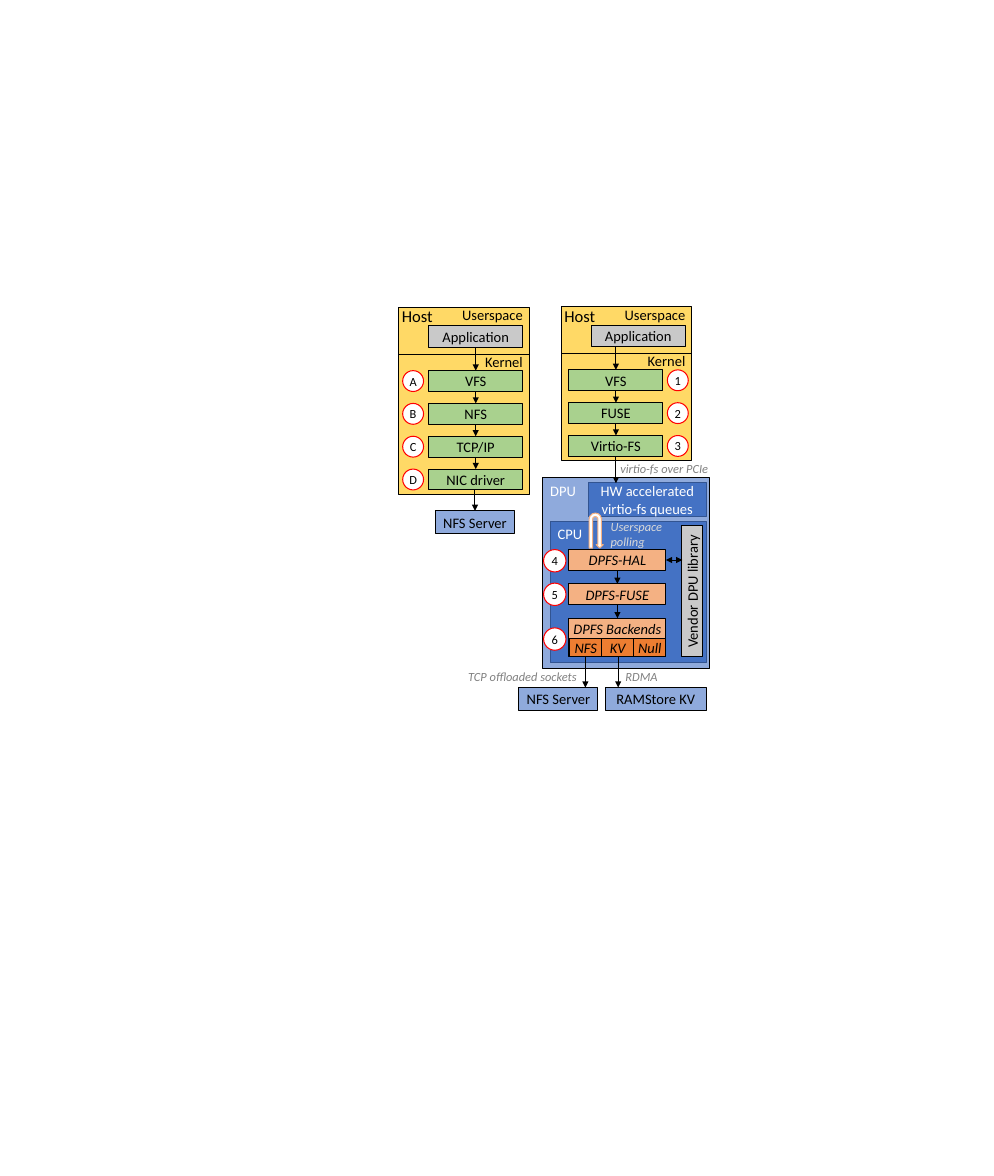
from dataclasses import dataclass

from lxml.etree import SubElement
from pptx import Presentation
from pptx.dml.color import RGBColor
from pptx.enum.shapes import MSO_CONNECTOR as Connector, MSO_SHAPE as Shape
from pptx.enum.text import MSO_ANCHOR as Anchor, PP_ALIGN as Align
from pptx.oxml.ns import qn
from pptx.util import Inches, Pt

UNIT = 0.1
BLACK, WHITE, RED, GREY = "000000", "FFFFFF", "FF0000", "808080"
YELLOW, SILVER, GREEN = "FFD966", "C9C9C9", "A9D18E"
PALE_BLUE, BLUE, NAVY = "8FAADC", "4472C4", "325491"
PEACH, ORANGE, PALE_GREY = "F4B183", "ED7D31", "D9D9D9"


@dataclass
class Box:
    """An area counted in columns and rows of the slide grid."""
    col: float
    row: float
    cols: float
    rows: float

    def area(self, col, row, cols, rows):
        """Return an area placed relative to this one."""
        return Box(self.col + col, self.row + row, cols, rows)

    def lengths(self):
        """Return left, top, width and height for a shape."""
        return [grid(n) for n in (self.col, self.row, self.cols, self.rows)]

    def middle(self):
        """Return the column halfway across."""
        return self.col + self.cols / 2

    def bottom(self):
        """Return the row of the lower edge."""
        return self.row + self.rows


def grid(count):
    """Turn a count of grid cells into a length."""
    return Inches(round(count * UNIT, 2))


def colour(code):
    """Turn a hex string into a colour."""
    return RGBColor.from_string(code)


def write(shape, text, size, ink, italic=False, align=Align.CENTER,
          anchor=Anchor.MIDDLE, inset=(0, 0)):
    """Fill a shape with lines of evenly formatted text."""
    frame = shape.text_frame
    frame.word_wrap = True
    frame.vertical_anchor = anchor
    frame.margin_left = frame.margin_right = grid(inset[0])
    frame.margin_top = frame.margin_bottom = grid(inset[1])
    frame.text = text
    for para in frame.paragraphs:
        para.alignment = align
        para.font.name, para.font.size = "Calibri", Pt(size)
        para.font.italic = italic
        para.font.color.rgb = colour(ink)


def block(page, box, fill, text="", line=BLACK, kind=Shape.RECTANGLE,
          size=14, ink=BLACK, width=1, **style):
    """Draw a filled, outlined shape with optional text."""
    shape = page.shapes.add_shape(kind, *box.lengths())
    shape.shadow.inherit = False
    shape.fill.solid()
    shape.fill.fore_color.rgb = colour(fill)
    shape.line.color.rgb = colour(line)
    shape.line.width = Pt(width)
    if text:
        write(shape, text, size, ink, **style)
    return shape


def badge(page, box, text):
    """Draw a red ring with a step mark."""
    block(page, box, WHITE, text, RED, Shape.OVAL, size=12)


def label(page, box, text, size=12, ink=GREY, italic=True, align=Align.LEFT):
    """Place free-standing text."""
    write(page.shapes.add_textbox(*box.lengths()), text, size, ink, italic,
          align, Anchor.TOP, (1, 0.5))


def link(page, start, end, ends=("tailEnd",)):
    """Draw a line with arrowheads at the named ends."""
    line = page.shapes.add_connector(
        Connector.STRAIGHT, *[grid(n) for n in (*start, *end)])
    line.line.color.rgb = colour(BLACK)
    line.line.width = Pt(1)
    properties = line._element.spPr
    for name in ends:
        SubElement(properties.find(qn("a:ln")), qn("a:" + name), type="triangle")
    SubElement(properties, qn("a:effectLst"))


def drop(page, col, start, end):
    """Draw a downward arrow between two rows."""
    link(page, (col, start), (col, end))


def draw_host(page, box, layers, marks, layer_col, badge_col):
    """Draw a host: application above, kernel layers below."""
    block(page, box, YELLOW)
    app = box.area(4, 2.5, 12.6, 2.9)
    block(page, app, SILVER, "Application")
    link(page, (box.col, box.row + 6.3), (box.col + box.cols, box.row + 6.3), ())
    label(page, box.area(-0.6, -0.6, 6.2, 3.7), "Host", 16, BLACK, False)
    for row, text in ((-0.6, "Userspace"), (5.6, "Kernel")):
        label(page, box.area(4.6, row, 13, 3.4), text, 14, BLACK, False, Align.RIGHT)
    above = app.bottom()
    for index, (layer, mark) in enumerate(zip(layers, marks)):
        row = 8.5 + 4.4 * index
        bar = box.area(layer_col, row, 12.6, 2.8)
        block(page, bar, GREEN, layer)
        badge(page, box.area(badge_col, row, 2.8, 2.8), mark)
        drop(page, bar.middle(), above, bar.row)
        above = bar.bottom()


def draw_dpu(page, box):
    """Draw the DPU with its queues, CPU stages and library."""
    corner = dict(ink=WHITE, align=Align.LEFT, anchor=Anchor.TOP, inset=(1, 0.5))
    block(page, box, PALE_BLUE, "DPU", **corner)
    block(page, box.area(6.1, 0.6, 15.8, 4.6), BLUE,
          "HW accelerated\nvirtio-fs queues", NAVY, ink=WHITE)
    block(page, box.area(1, 5.8, 20.9, 19), BLUE, "CPU", NAVY, **corner)
    label(page, box.area(8.1, 5, 9, 5), "Userspace\npolling", ink=PALE_GREY)
    turn = block(page, box.area(6.2, 4.7, 1.9, 4.7), WHITE, line=PEACH,
                 kind=Shape.U_TURN_ARROW)
    for index, share in enumerate((0.25, 0.25, 0.25, 0.44, 1)):
        turn.adjustments[index] = share
    library = block(page, box.area(11.2, 13.8, 17.6, 2.8), SILVER, "Vendor DPU library")
    library.rotation = 270
    draw_stages(page, box.area(3.5, 9.6, 13, 14.3))
    for row, mark in zip((9.6, 14.1, 20.1), "456"):
        badge(page, box.area(0.1, row, 3, 3), mark)
    link(page, (box.col + 16.5, box.row + 11), (box.col + 18.7, box.row + 11),
         ("headEnd", "tailEnd"))


def draw_stages(page, box):
    """Draw the DPFS stages and the row of backends."""
    step, height = 4.6, 2.8
    for index, text in enumerate(("DPFS-HAL", "DPFS-FUSE")):
        stage = box.area(0, step * index, box.cols, height)
        block(page, stage, PEACH, text, italic=True)
        drop(page, box.middle(), stage.bottom(), stage.row + step)
    block(page, box.area(0, 2 * step, box.cols, 5.1), PEACH, "DPFS Backends",
          italic=True, anchor=Anchor.TOP, inset=(0, 0.2))
    for index, text in enumerate(("NFS", "KV", "Null")):
        block(page, box.area(0.1 + 4.3 * index, 11.9, 4.3, 2.4), ORANGE, text,
              italic=True, width=0.75)


def draw_servers(page, box):
    """Draw the storage servers below the DPU and their links."""
    servers = ((0, 10.6, 8.9, "NFS Server"), (11.6, 13.5, 13.3, "RAMStore KV"))
    for col, cols, arrow_col, text in servers:
        server = box.area(col, 4.2, cols, 3.1)
        block(page, server, PALE_BLUE, text)
        drop(page, box.col + arrow_col, box.row, server.row)
    label(page, box.area(-7.8, 1.3, 17.4, 3), "TCP offloaded sockets")
    label(page, box.area(13.3, 1.3, 7, 3), "RDMA")


def draw_slide(page):
    """Place both stacks side by side."""
    draw_host(page, Box(53.5, 41.2, 17.5, 25.1),
              ("VFS", "NFS", "TCP/IP", "NIC driver"), "ABCD", 4, 0.5)
    server = Box(58.4, 68.5, 10.6, 3.1)
    block(page, server, PALE_BLUE, "NFS Server")
    drop(page, server.middle(), 65.7, server.row)
    draw_host(page, Box(75.3, 41.1, 17.5, 20.6),
              ("VFS", "FUSE", "Virtio-FS"), "123", 1, 14.2)
    draw_dpu(page, Box(72.8, 64.1, 22.4, 25.6))
    drop(page, 82.6, 61.2, 64.8)
    label(page, Box(82.2, 61.3, 14.4, 3), "virtio-fs over PCIe")
    draw_servers(page, Box(69.6, 88, 25.1, 7.3))


deck = Presentation()
deck.slide_width, deck.slide_height = Inches(13.33), Inches(15.77)
draw_slide(deck.slides.add_slide(deck.slide_layouts[6]))
deck.save("out.pptx")
